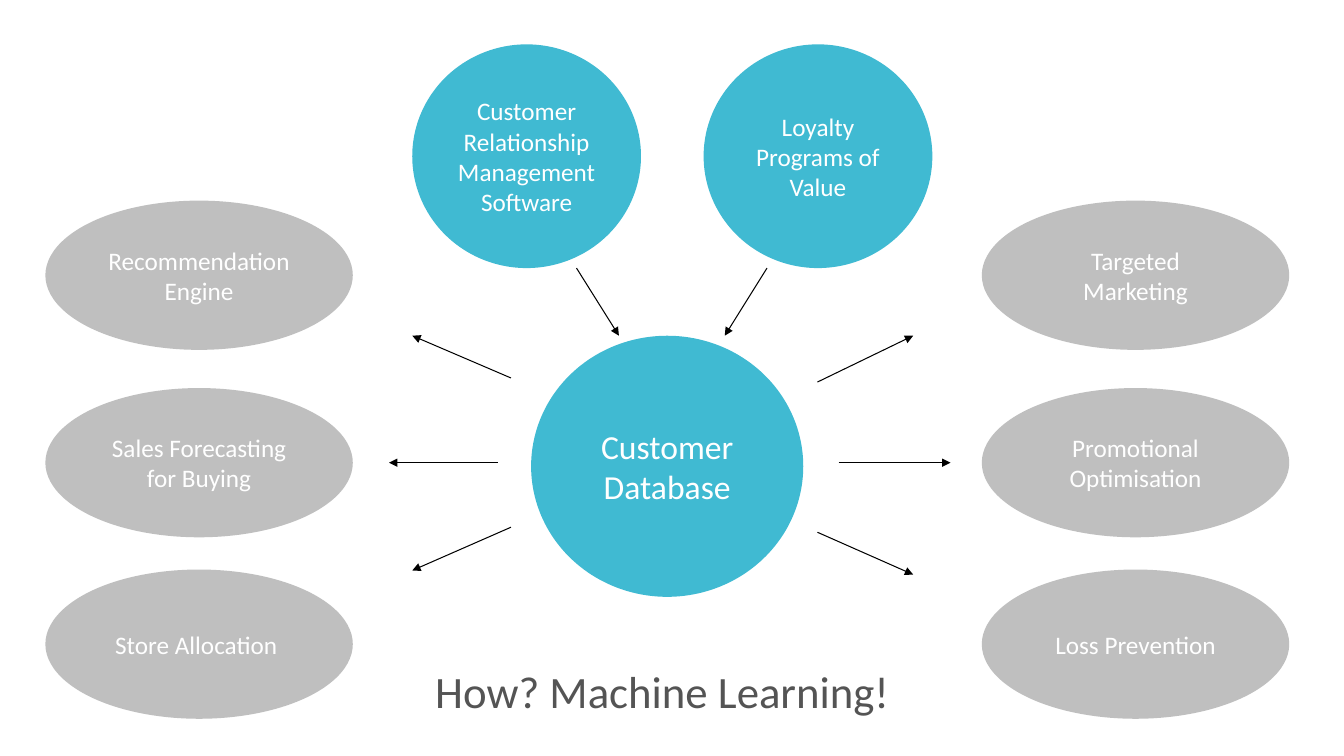
from lxml import etree
from pptx import Presentation
from pptx.dml.color import RGBColor
from pptx.enum.shapes import MSO_CONNECTOR, MSO_SHAPE
from pptx.enum.text import MSO_ANCHOR, MSO_AUTO_SIZE, PP_ALIGN
from pptx.oxml.ns import qn
from pptx.util import Pt

OVAL = MSO_SHAPE.OVAL
STRAIGHT = MSO_CONNECTOR.STRAIGHT
MIDDLE = MSO_ANCHOR.MIDDLE
GROW = MSO_AUTO_SIZE.SHAPE_TO_FIT_TEXT
CENTER = PP_ALIGN.CENTER

TEAL = RGBColor(0x40, 0xBA, 0xD2)
GREY = RGBColor(0xBF, 0xBF, 0xBF)
DARK_GREY = RGBColor(0x54, 0x54, 0x54)
WHITE = RGBColor(0xFF, 0xFF, 0xFF)
BLACK = RGBColor(0, 0, 0)


def add_run(paragraph, wording, size, color):
    run = paragraph.add_run()
    run.text = wording
    run.font.name = "Calibri"
    run.font.size = Pt(size)
    run.font.color.rgb = color


def add_bubble(wording, left, top, width, height, fill, size=18):
    bubble = slide.shapes.add_shape(OVAL, Pt(left), Pt(top), Pt(width), Pt(height))
    bubble.shadow.inherit = False
    bubble.fill.solid()
    bubble.fill.fore_color.rgb = fill
    bubble.line.fill.background()
    bubble.text_frame.word_wrap = True
    bubble.text_frame.vertical_anchor = MIDDLE
    paragraph = bubble.text_frame.paragraphs[0]
    paragraph.alignment = CENTER
    add_run(paragraph, wording, size, WHITE)


prs = Presentation()
prs.slide_width = Pt(960)
prs.slide_height = Pt(540)
slide = prs.slides.add_slide(prs.slide_layouts[6])

headline = slide.shapes.add_textbox(Pt(303.8), Pt(470.9), Pt(506.9), Pt(46.1))
headline.text_frame.word_wrap = True
headline.text_frame.auto_size = GROW
add_run(headline.text_frame.paragraphs[0], "How? Machine Learning!", 32, DARK_GREY)

data_sources = [
    ("Customer Relationship Management Software", 294.5),
    ("Loyalty Programs of Value", 502.6),
]
for wording, left in data_sources:
    add_bubble(wording, left, 31.7, 163.4, 159.8, TEAL)

add_bubble("Customer Database", 379.4, 239.8, 194.4, 186.5, TEAL, 24)

use_columns = [
    (32.4, ["Recommendation Engine", "Sales Forecasting for Buying", "Store Allocation "]),
    (701.3, ["Targeted Marketing", "Promotional Optimisation", "Loss Prevention"]),
]
use_tops = [143.3, 277.2, 406.8]
for left, uses in use_columns:
    for wording, top in zip(uses, use_tops):
        add_bubble(wording, left, top, 219.6, 106.6, GREY)

flows = [
    (547.9, 191.5, 517.7, 239.8),
    (411.8, 191.5, 442.1, 239.8),
    (365, 270, 294.5, 239.8),
    (355.7, 330.5, 277.9, 330.5),
    (365, 376.6, 294.5, 407.5),
    (583.9, 272.9, 652.3, 239.8),
    (599, 330.5, 679, 330.5),
    (583.9, 380.2, 652.3, 410.4),
]
for flow in flows:
    arrow = slide.shapes.add_connector(STRAIGHT, *[Pt(length) for length in flow])
    arrow.line.color.rgb = BLACK
    arrow.line.width = Pt(0.75)
    outline = arrow.line._get_or_add_ln()
    etree.SubElement(outline, qn("a:tailEnd")).set("type", "triangle")
    etree.SubElement(arrow._element.spPr, qn("a:effectLst"))

prs.save("out.pptx")
